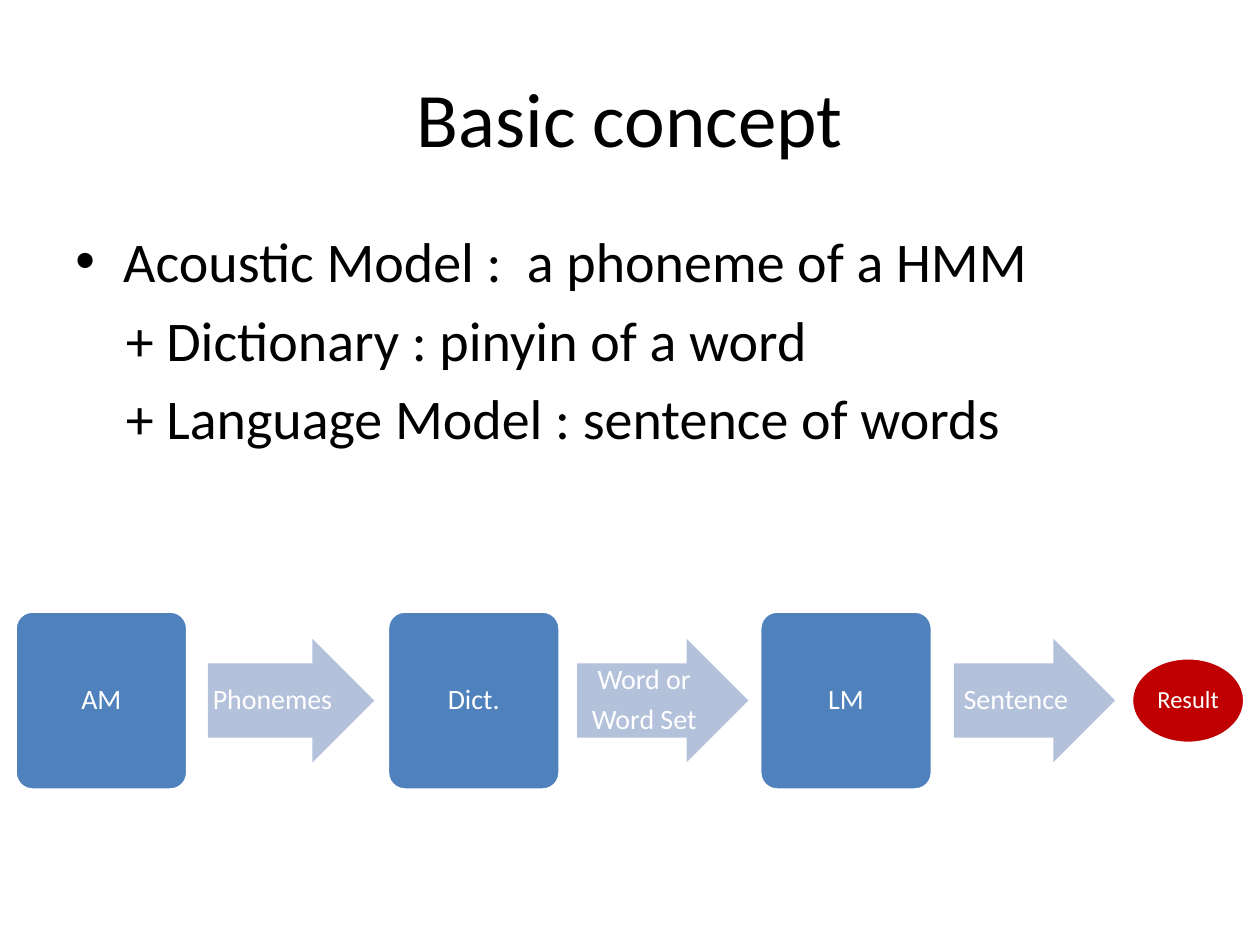
"""Build the basic concept slide: model components and the recognition flow."""
from lxml import etree
from pptx import Presentation
from pptx import util as u
from pptx.dml.color import RGBColor
from pptx.enum import shapes, text

BLACK = RGBColor(0x00, 0x00, 0x00)
WHITE = RGBColor(0xFF, 0xFF, 0xFF)
BLUE = RGBColor(0x4F, 0x81, 0xBD)
PALE_BLUE = RGBColor(0xB3, 0xC1, 0xDB)
RED = RGBColor(0xC0, 0x00, 0x00)

COLUMNS, ROWS = 100, 75
FLOW_AXIS = 55.6
STAGE_LEFT, STAGE_PITCH = 1.2, 29.55


def write_text(frame, lines, size, color, font="Calibri", align=text.PP_ALIGN.CENTER,
               anchor=text.MSO_ANCHOR.MIDDLE, spacing=None, before=0, after=0):
    """Fill a text frame with one formatted paragraph per line."""
    frame.word_wrap = True
    frame.vertical_anchor = anchor
    for index, line in enumerate(lines):
        paragraph = frame.paragraphs[0] if index == 0 else frame.add_paragraph()
        paragraph.alignment = align
        paragraph.line_spacing = spacing
        paragraph.space_before, paragraph.space_after = u.Pt(before), u.Pt(after)
        run = paragraph.add_run()
        run.text = line
        run.font.name, run.font.size = font, u.Pt(size)
        run.font.color.rgb = color


class ConceptSlide:
    """Hold the style and the current slide."""

    def __init__(self, deck):
        self.column = deck.slide_width / COLUMNS
        self.row = deck.slide_height / ROWS
        self.slide = deck.slides.add_slide(deck.slide_layouts[5])

    def box(self, left, top, width, height):
        """Turn grid columns and rows into lengths."""
        return (u.Emu(round(left * self.column)), u.Emu(round(top * self.row)),
                u.Emu(round(width * self.column)), u.Emu(round(height * self.row)))

    def title(self, wording):
        """Place and format the title."""
        heading = self.slide.shapes.title
        heading.left, heading.top, heading.width, heading.height = self.box(5, 3, 90, 12.5)
        write_text(heading.text_frame, [wording], 44, BLACK)

    def components(self, lines):
        """Add a bulleted first line with the others indented below it."""
        body = self.slide.shapes.add_textbox(*self.box(5, 17.5, 90, 49.5))
        write_text(body.text_frame, lines, 32, BLACK, align=text.PP_ALIGN.LEFT,
                   anchor=text.MSO_ANCHOR.TOP, before=6.4)
        first, *others = [p._p.get_or_add_pPr() for p in body.text_frame.paragraphs]
        first.set("marL", str(u.Inches(0.38)))
        first.set("indent", str(u.Inches(-0.38)))
        namespace = first.nsmap["a"]
        etree.SubElement(first, f"{{{namespace}}}buFont", typeface="Arial")
        etree.SubElement(first, f"{{{namespace}}}buChar", char="•")
        for properties in others:
            properties.set("marL", str(u.Inches(0.4)))

    def node(self, kind, left, width, height, fill, lines, size=16, inset=0.07, outlined=True):
        """Add a labelled shape centred on the flow axis."""
        node = self.slide.shapes.add_shape(
            kind, *self.box(left, FLOW_AXIS - height / 2, width, height))
        node.shadow.inherit = False
        node.fill.solid()
        node.fill.fore_color.rgb = fill
        if outlined:
            node.line.color.rgb = WHITE
            node.line.width = u.Pt(2)
        else:
            node.line.fill.background()
        frame = node.text_frame
        frame.margin_left = frame.margin_right = u.Inches(inset)
        frame.margin_top = frame.margin_bottom = u.Inches(inset)
        write_text(frame, lines, size, WHITE, spacing=0.9, after=size * 0.35)
        return node

    def stage(self, index, name):
        """Add a model block at its step in the flow."""
        block = self.node(shapes.MSO_SHAPE.ROUNDED_RECTANGLE, STAGE_LEFT + index * STAGE_PITCH,
                          13.7, 14.2, BLUE, [name])
        block.adjustments[0] = 0.1

    def output(self, left, width, lines):
        """Add an arrow naming what a stage passes on."""
        arrow = self.node(shapes.MSO_SHAPE.RIGHT_ARROW, left, width, 9.8, PALE_BLUE, lines,
                          inset=0, outlined=False)
        arrow.adjustments[0], arrow.adjustments[1] = 0.6, 0.5

    def result(self, name):
        """Add the end point of the flow."""
        self.node(shapes.MSO_SHAPE.FLOWCHART_CONNECTOR, 89.8, 9, 6.8, RED, [name],
                  size=14, inset=0.06)


def main():
    """Build and save the deck."""
    deck = Presentation()
    deck.slide_width, deck.slide_height = u.Inches(10), u.Inches(7.5)
    concept = ConceptSlide(deck)
    concept.title("Basic concept")
    concept.components(["Acoustic Model :  a phoneme of a HMM",
                        "+ Dictionary : pinyin of a word",
                        "+ Language Model : sentence of words"])
    flow = [("AM", 16.5, 13.2, ["Phonemes"]),
            ("Dict.", 45.8, 13.6, ["Word or", "Word Set"]),
            ("LM", 75.7, 12.8, ["Sentence"])]
    for index, (model, left, width, passed_on) in enumerate(flow):
        concept.stage(index, model)
        concept.output(left, width, passed_on)
    concept.result("Result")
    deck.save("out.pptx")


if __name__ == "__main__":
    main()
